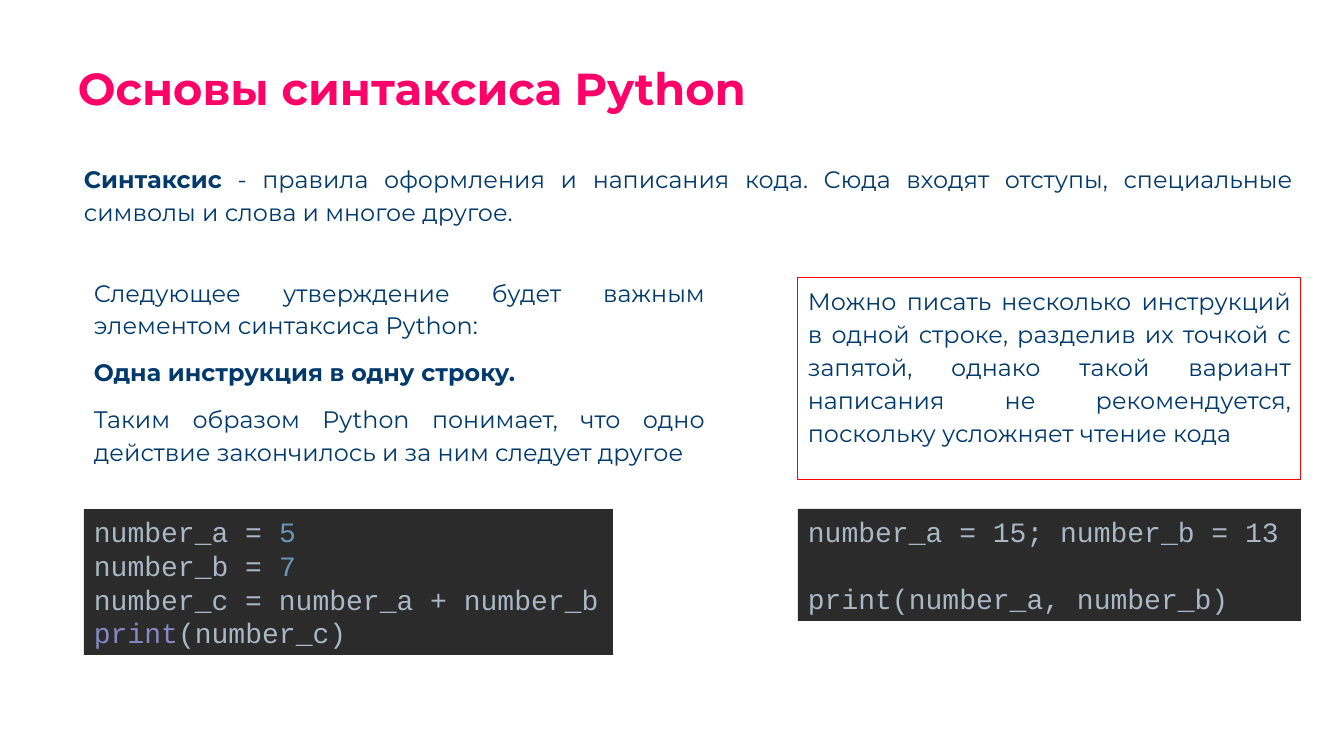
"""Build the slide on the basics of Python syntax."""
from dataclasses import dataclass
from typing import Optional

from pptx import Presentation
from pptx.dml.color import RGBColor
from pptx.enum.shapes import MSO_SHAPE
from pptx.enum.text import MSO_ANCHOR, PP_ALIGN
from pptx.util import Emu, Pt

SLIDE_WIDTH, SLIDE_HEIGHT = 1344, 756
EMU_PER_PX = 12192000 / SLIDE_WIDTH
COLORS = {
    "title": "FF0068",
    "body": "00396B",
    "panel": "2B2B2B",
    "code": "A9B7C6",
    "number": "6897BB",
    "builtin": "8888C6",
    "warning": "FF0000",
}


@dataclass(frozen=True)
class Style:
    font: str
    size: int
    color: str
    align: PP_ALIGN = PP_ALIGN.LEFT
    line_spacing: float = 1.0
    space_before: float = 0
    anchor: MSO_ANCHOR = MSO_ANCHOR.TOP


@dataclass(frozen=True)
class Span:
    text: str
    color: Optional[str] = None
    bold: bool = False


@dataclass(frozen=True)
class Line:
    spans: tuple[Span, ...]
    space_before: Optional[float] = None


@dataclass(frozen=True)
class Block:
    left: int
    top: int
    width: int
    height: int
    style: Style
    lines: tuple[Line, ...]
    fill: Optional[str] = None
    outline: Optional[str] = None


TITLE = Style("Montserrat", 32, "title", line_spacing=0.9)
BODY = Style("Montserrat", 17, "body", PP_ALIGN.JUSTIFY, 1.15, 10)
CODE = Style("Courier New", 20, "code", anchor=MSO_ANCHOR.MIDDLE)
CODE_LINE_HEIGHT = 23.8
CODE_TOP = 509
RIGHT_LEFT, RIGHT_WIDTH = 798, 503

BLOCKS = (
    Block(68, 62, 934, 41, TITLE, (
        Line((Span("Основы синтаксиса Python", bold=True),)),
    )),
    Block(74, 156, 1229, 100, BODY, (
        Line((
            Span("Синтаксис", bold=True),
            Span(" - правила оформления и написания кода. Сюда входят отступы, "
                 "специальные символы и слова и многое другое."),
        )),
    )),
    Block(84, CODE_TOP, 529, 146, CODE, (
        Line((Span("number_a = "), Span("5", "number"))),
        Line((Span("number_b = "), Span("7", "number"))),
        Line((Span("number_c = number_a + number_b"),)),
        Line((Span("print", "builtin"), Span("(number_c)"))),
    ), fill="panel"),
    Block(84, 269, 631, 202, BODY, (
        Line((Span("Следующее утверждение будет важным элементом синтаксиса Python:"),)),
        Line((Span("Одна инструкция в одну строку.", bold=True),)),
        Line((Span("Таким образом Python понимает, что одно действие закончилось "
                   "и за ним следует другое"),)),
    )),
    Block(RIGHT_LEFT, 278, RIGHT_WIDTH, 202, BODY, (
        Line((Span("Можно писать несколько инструкций в одной строке, разделив их "
                   "точкой с запятой, однако такой вариант написания не "
                   "рекомендуется, поскольку усложняет чтение кода"),)),
    ), outline="warning"),
    Block(RIGHT_LEFT, CODE_TOP, RIGHT_WIDTH, 112, CODE, (
        Line((Span("number_a = 15; number_b = 13"),)),
        Line((Span("print(number_a, number_b)"),), CODE_LINE_HEIGHT),
    ), fill="panel"),
)


def px(length: int) -> Emu:
    """Convert pixels to EMU."""
    return Emu(round(length * EMU_PER_PX))


def rgb(name: str) -> RGBColor:
    """Look up a named colour."""
    return RGBColor.from_string(COLORS[name])


def add_text(paragraph, text: str, *, font: str, size: int, color: str, bold: bool) -> None:
    """Append formatted text to a paragraph."""
    run = paragraph.add_run()
    run.text = text
    run.font.name = font
    run.font.size = Pt(size)
    run.font.bold = bold
    run.font.color.rgb = rgb(color)


def add_container(slide, block: Block):
    """Add a text box, or a rectangle if the block is filled or outlined."""
    bounds = [px(length) for length in (block.left, block.top, block.width, block.height)]
    if not (block.fill or block.outline):
        return slide.shapes.add_textbox(*bounds)
    shape = slide.shapes.add_shape(MSO_SHAPE.RECTANGLE, *bounds)
    shape.shadow.inherit = False
    if block.fill:
        shape.fill.solid()
        shape.fill.fore_color.rgb = rgb(block.fill)
    else:
        shape.fill.background()
    if block.outline:
        shape.line.color.rgb = rgb(block.outline)
        shape.line.width = Pt(0.75)
    else:
        shape.line.fill.background()
    return shape


def add_block(slide, block: Block) -> None:
    """Draw a block with its paragraphs."""
    style = block.style
    frame = add_container(slide, block).text_frame
    frame.word_wrap = True
    frame.vertical_anchor = style.anchor
    for index, line in enumerate(block.lines):
        paragraph = frame.add_paragraph() if index else frame.paragraphs[0]
        paragraph.alignment = style.align
        paragraph.line_spacing = style.line_spacing
        space = style.space_before if line.space_before is None else line.space_before
        paragraph.space_before = Pt(space)
        for span in line.spans:
            add_text(paragraph, span.text, font=style.font, size=style.size,
                     color=span.color or style.color, bold=span.bold)


def main() -> None:
    """Create and save the presentation."""
    presentation = Presentation()
    presentation.slide_width = px(SLIDE_WIDTH)
    presentation.slide_height = px(SLIDE_HEIGHT)
    slide = presentation.slides.add_slide(presentation.slide_layouts[6])
    for block in BLOCKS:
        add_block(slide, block)
    presentation.save("out.pptx")


if __name__ == "__main__":
    main()
